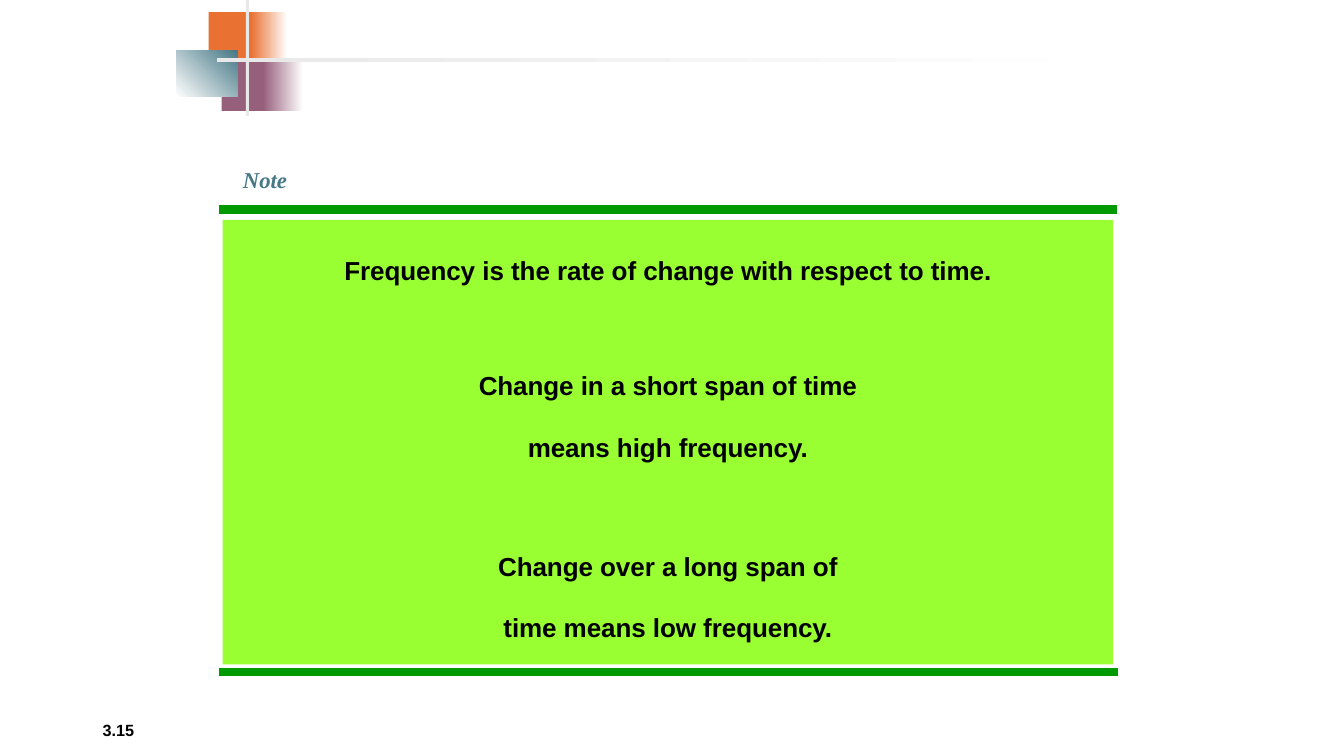
from pptx import Presentation
from pptx.dml.color import RGBColor
from pptx.enum.shapes import MSO_CONNECTOR, MSO_SHAPE
from pptx.enum.text import MSO_ANCHOR, MSO_AUTO_SIZE, PP_ALIGN
from pptx.oxml.ns import qn
from pptx.util import Pt
from lxml import etree

RECT, LINE = MSO_SHAPE.RECTANGLE, MSO_CONNECTOR.STRAIGHT
LEFT, MID = PP_ALIGN.LEFT, PP_ALIGN.CENTER
TOP, CENTRE = MSO_ANCHOR.TOP, MSO_ANCHOR.MIDDLE

THEME = {
    "orange": "E97132", "plum": "96607D", "teal": "467886", "grey": "E8E8E8",
    "white": "FFFFFF", "black": "000000", "lime": "99FF33", "green": "009900",
    "sans": "Arial", "serif": "Times New Roman",
    "page": 20, "head": 28, "body": 32, "rule": 6,
}

HEAD = "Note"
PAGE = "3.15"
# Text and the space before it
BODY = [
    ("Frequency is the rate of change with respect to time.", 0),
    ("Change in a short span of time\vmeans high frequency.", 38.5),
    ("Change over a long span of\vtime means low frequency.", 41.5),
]
# Left, top, width, height, colours (two make a gradient), angle
DECOR = [
    (149, 8.6, 34.6, 37.4, ["orange"], 0),
    (179.3, 8.6, 25.9, 37.4, ["orange", "white"], 0),
    (158.4, 41.8, 33.1, 37.4, ["plum"], 0),
    (187.9, 41.8, 28.8, 37.4, ["plum", "white"], 0),
    (126, 36, 43.9, 33.1, ["white", "teal"], 45),
    (175.7, 0, 2.2, 82.8, ["grey"], 0),
    (154.8, 41.8, 648, 2.2, ["grey", "white"], 0),
]
RULES = [(156.2, 798, 149.8), (156.2, 798.3, 480.2)]
PANEL = (159.1, 157, 635.8, 317.5)


def tint(name):
    return RGBColor.from_string(THEME[name])


def block(slide, x, y, w, h, hues, angle=0):
    box = slide.shapes.add_shape(RECT, Pt(x), Pt(y), Pt(w), Pt(h))
    box.shadow.inherit = False
    box.line.fill.background()
    if len(hues) == 1:
        box.fill.solid()
        box.fill.fore_color.rgb = tint(hues[0])
    else:
        box.fill.gradient()
        box.fill.gradient_angle = angle
        for stop, hue in zip(box.fill.gradient_stops, hues):
            stop.color.rgb = tint(hue)
    return box


def write(shape, lines, size, font="sans", hue="black", italic=False,
          align=LEFT, anchor=TOP, wrap=True):
    """Fill a shape with (text, space before) pairs in lowered bold type."""
    frame = shape.text_frame
    frame.word_wrap = wrap
    frame.auto_size = MSO_AUTO_SIZE.NONE
    frame.vertical_anchor = anchor
    for i, (text, gap) in enumerate(lines):
        para = frame.add_paragraph() if i else frame.paragraphs[0]
        para.text = text
        para.alignment = align
        para.line_spacing = 1.0
        para.space_before = Pt(gap)
        for run in para.runs:
            run.font.name = THEME[font]
            run.font.size = Pt(THEME[size])
            run.font.bold = True
            run.font.italic = italic
            run.font.color.rgb = tint(hue)
            run.font._element.set("baseline", "-25000")


def rule(slide, x1, x2, y):
    line = slide.shapes.add_connector(LINE, Pt(x1), Pt(y), Pt(x2), Pt(y))
    line.line.color.rgb = tint("green")
    line.line.width = Pt(THEME["rule"])
    etree.SubElement(line._element.spPr, qn("a:effectLst"))


def main():
    deck = Presentation()
    deck.slide_width, deck.slide_height = Pt(960), Pt(540)
    slide = deck.slides.add_slide(deck.slide_layouts[5])

    head = slide.shapes.title
    head.left, head.top, head.width, head.height = Pt(166.3), Pt(95.8), Pt(69.1), Pt(41)
    write(head, [(HEAD, 0)], "head", font="serif", hue="teal", italic=True, wrap=False)

    page = slide.shapes.add_textbox(Pt(66.2), Pt(500.4), Pt(216), Pt(28.8))
    write(page, [(PAGE, 0)], "page", anchor=CENTRE)

    for part in DECOR:
        block(slide, *part)
    for ends in RULES:
        rule(slide, *ends)
    panel = block(slide, *PANEL, ["lime"])
    write(panel, BODY, "body", align=MID)

    deck.save("out.pptx")


if __name__ == "__main__":
    main()
